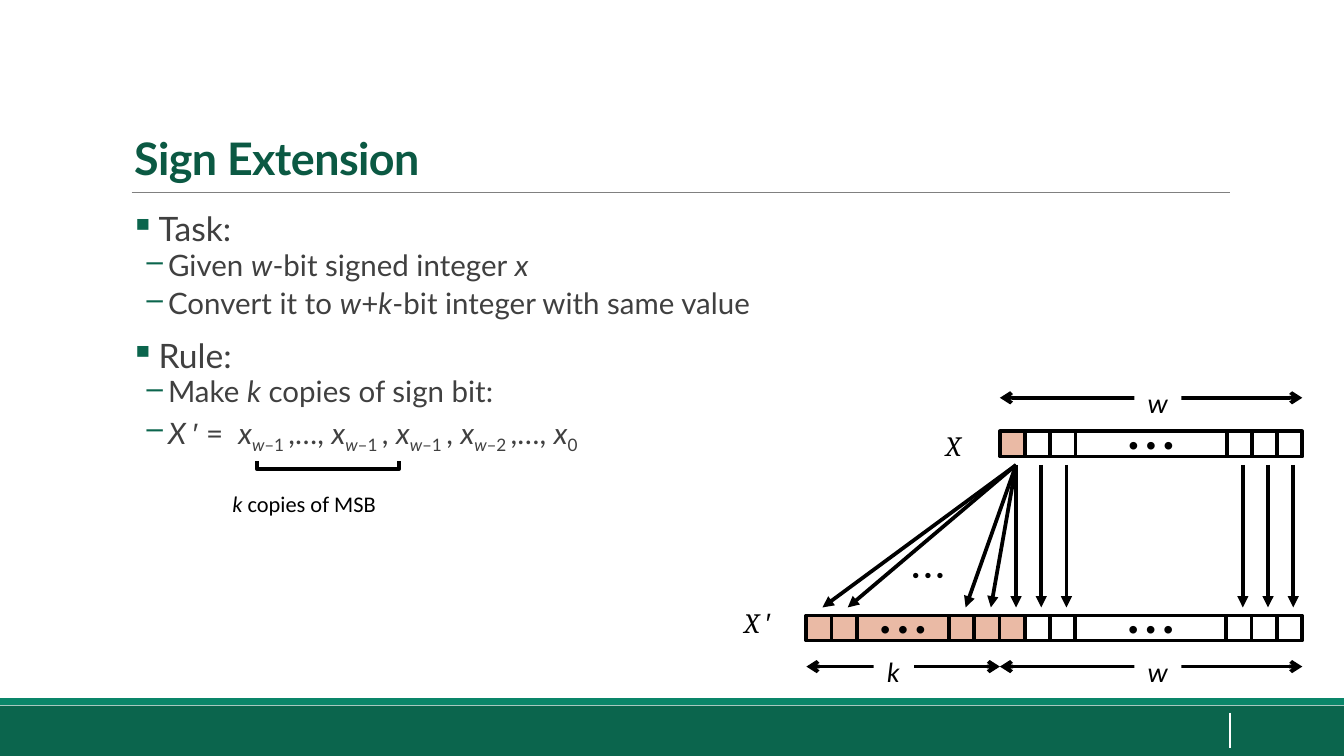
from dataclasses import dataclass

from lxml.etree import SubElement
from pptx import Presentation
from pptx.dml.color import RGBColor
from pptx.enum.shapes import MSO_CONNECTOR, MSO_SHAPE
from pptx.enum.text import MSO_ANCHOR, MSO_AUTO_SIZE, PP_ALIGN
from pptx.oxml.ns import qn
from pptx.util import Inches, Pt


@dataclass(frozen=True)
class Theme:
    green: str = "0B654D"
    stripe: str = "0A8669"
    title: str = "0B5943"
    body: str = "404040"
    rule: str = "808080"
    black: str = "000000"
    white: str = "FFFFFF"
    sign: str = "EABAA5"
    font: str = "Lato"
    label_font: str = "Calibri"
    math_font: str = "Cambria"
    symbol_font: str = "Arial"
    title_size: float = 24
    head_size: float = 18
    item_size: float = 15.8
    label_size: float = 15
    note_size: float = 12
    dots_size: float = 10.5
    stroke: float = 2


T = Theme()
BIT = 3 / 16
DOTS = "• • •"


def rgb(value):
    return RGBColor.from_string(value)


def add_run(p, text, size, font, color, style=""):
    """Style letters: b bold, i italic, s subscript."""
    r = p.add_run()
    r.text = text
    r.font.size, r.font.name = Pt(size), font
    r.font.color.rgb = rgb(color)
    r.font.bold, r.font.italic = "b" in style, "i" in style
    if "s" in style:
        r.font._element.set("baseline", "-25000")
    return r


def add_rect(shapes, x, y, w, h, fill, line=None):
    s = shapes.add_shape(MSO_SHAPE.RECTANGLE, Inches(x), Inches(y), Inches(w), Inches(h))
    s.shadow.inherit = False
    s.fill.solid()
    s.fill.fore_color.rgb = rgb(fill)
    if line:
        s.line.color.rgb, s.line.width = rgb(line), Pt(T.stroke)
    else:
        s.line.fill.background()
    return s


def add_line(shapes, x1, y1, x2, y2, color=T.black, width=T.stroke, head=None, tail=None):
    c = shapes.add_connector(MSO_CONNECTOR.STRAIGHT, Inches(x1), Inches(y1), Inches(x2), Inches(y2))
    c.line.color.rgb, c.line.width = rgb(color), Pt(width)
    ln = c.line._get_or_add_ln()
    for tag, kind in (("a:headEnd", head), ("a:tailEnd", tail)):
        if kind:
            SubElement(ln, qn(tag), type=kind)
    SubElement(c._element.spPr, qn("a:effectLst"))


def add_label(shapes, x, y, w, h, runs, size=T.label_size, fill=None):
    """Unwrapped text from (text, font, style) runs."""
    sp = shapes.add_textbox(Inches(x), Inches(y), Inches(w), Inches(h))
    if fill:
        sp.fill.solid()
        sp.fill.fore_color.rgb = rgb(fill)
    tf = sp.text_frame
    tf.word_wrap, tf.auto_size = False, MSO_AUTO_SIZE.SHAPE_TO_FIT_TEXT
    for text, font, style in runs:
        add_run(tf.paragraphs[0], text, size, font, T.black, style)
    return sp


def set_insets(tf):
    tf.margin_left = tf.margin_right = Inches(0.07)
    tf.margin_top = tf.margin_bottom = Inches(0.04)


def add_frame(shapes, w, h):
    """Footer band and the rule under the title."""
    add_rect(shapes, 0, h - 0.375, w, 0.375, T.green)
    add_line(shapes, 0.98, 1.43, 9.15, 1.43, T.rule, 0.5)
    add_rect(shapes, 0, h - 0.43, w, 0.05, T.stripe)
    add_line(shapes, 9.15, h - 0.32, 9.15, h - 0.06, T.white, 1)


def add_title(shapes, x, y, w, h, text):
    tf = shapes.add_textbox(Inches(x), Inches(y), Inches(w), Inches(h)).text_frame
    tf.word_wrap, tf.vertical_anchor = True, MSO_ANCHOR.BOTTOM
    p = tf.paragraphs[0]
    p.line_spacing = 0.85
    r = add_run(p, text, T.title_size, T.font, T.title, "b")
    r.font._element.set("spc", "-30")


def set_bullet(p, char, left, hanging):
    pPr = p._p.get_or_add_pPr()
    pPr.set("marL", str(Inches(left)))
    pPr.set("indent", str(-Inches(hanging)))
    color = SubElement(pPr, qn("a:buClr"))
    SubElement(color, qn("a:srgbClr"), val=T.green)
    SubElement(pPr, qn("a:buChar"), char=char)


def add_outline(shapes, x, y, w, h, sections):
    tf = shapes.add_textbox(Inches(x), Inches(y), Inches(w), Inches(h)).text_frame
    tf.word_wrap = True
    set_insets(tf)
    for n, (heading, items) in enumerate(sections):
        p = tf.add_paragraph() if n else tf.paragraphs[0]
        p.space_before = Pt(5.6 if n else 0)
        set_bullet(p, "▪", 0.21, 0.21)
        add_run(p, heading, T.head_size, T.font, T.body)
        for item in items:
            p = tf.add_paragraph()
            p.level, p.line_spacing = 1, 0.9
            p.space_before, p.space_after = Pt(1.1), Pt(2.2)
            set_bullet(p, "–", 0.28, 0.16)
            for text, style in item:
                font = T.symbol_font if text == "′" else T.font
                add_run(p, text, T.item_size, font, T.body, style)


def add_copies_note(shapes, x, y):
    """Bracket under the repeated sign bits, with its caption."""
    pen = shapes.build_freeform(Inches(x + 0.25), Inches(y))
    pen.add_line_segments([(Inches(x + dx), Inches(y + dy))
                           for dx, dy in ((0.25, 0.06), (1.31, 0.06), (1.31, 0))], close=False)
    s = pen.convert_to_shape()
    s.shadow.inherit = False
    s.fill.background()
    s.line.color.rgb, s.line.width = rgb(T.black), Pt(T.stroke)
    caption = [("k", T.label_font, "i"), (" copies of MSB", T.label_font, "")]
    set_insets(add_label(shapes, x, y + 0.18, 1.23, 0.28, caption, T.note_size).text_frame)


def add_bits(shapes, x, y, cells):
    """Row of (width in bits, fill) cells; wide ones hold an ellipsis."""
    for bits, fill in cells:
        s = add_rect(shapes, x, y, bits * BIT, BIT, fill, T.black)
        if bits > 1:
            tf = s.text_frame
            tf.word_wrap, tf.vertical_anchor = False, MSO_ANCHOR.MIDDLE
            p = tf.paragraphs[0]
            p.alignment = PP_ALIGN.CENTER
            add_run(p, DOTS, T.label_size, T.symbol_font, T.black)
        x += bits * BIT


def add_span(shapes, x1, x2, y, name, label_x, label_w):
    add_line(shapes, x1, y, x2, y, head="arrow", tail="arrow")
    add_label(shapes, label_x, y - 0.14, label_w, 0.35, [(name, T.label_font, "i")], fill=T.white)


def add_diagram(shapes, x, y):
    left, word = x + 0.56, x + 2
    right = word + 12 * BIT
    top, bottom = y + 0.4, y + 1.77
    word_bits = [(1, T.sign), (1, T.white), (1, T.white), (6, T.white)] + [(1, T.white)] * 3
    copies = [(bits, T.sign) for bits in (1, 1, 11 / 3, 1, 1)]
    add_bits(shapes, word, top, word_bits)
    add_bits(shapes, left, bottom, copies + word_bits)
    add_label(shapes, x + 1.5, y + 0.33, 0.38, 0.35, [("X", T.math_font, "i")])
    add_label(shapes, x, y + 1.65, 0.43, 0.35,
              [("X ", T.math_font, "i"), ("′", T.symbol_font, "")])

    def arrow(start, end):
        add_line(shapes, start + 0.12, top + 0.25, end + 0.12, bottom - 0.06, tail="triangle")

    for end in (word, word - BIT, word - 2 * BIT, left + BIT, left):
        arrow(word, end)
    for n in (1, 2, 9, 10, 11):
        arrow(word + n * BIT, word + n * BIT)
    add_label(shapes, x + 1.25, y + 1.33, 0.43, 0.28, [(DOTS, T.symbol_font, "")], T.dots_size)
    for span_y in (y + 0.15, y + 2.15):
        add_span(shapes, word, right, span_y, "w", x + 3, 0.35)
    add_span(shapes, left, word, y + 2.15, "k", x + 1.06, 0.3)


def indexed(index, after):
    return [("x", "i"), ("w", "is"), (f"–{index} ", "s"), (after, "")]


def main():
    prs = Presentation()
    prs.slide_width, prs.slide_height = Inches(10), Inches(5.625)
    shapes = prs.slides.add_slide(prs.slide_layouts[6]).shapes
    formula = [("X ", "i"), ("′", ""), (" =  ", ""), *indexed(1, ",…, "), *indexed(1, ", "),
               *indexed(1, ", "), *indexed(2, ",…, "), ("x", "i"), ("0", "s")]
    sections = [
        ("Task:", [
            [("Given ", ""), ("w", "i"), ("-bit signed integer ", ""), ("x", "i")],
            [("Convert it to ", ""), ("w", "i"), ("+", ""), ("k", "i"),
             ("-bit integer with same value", "")]]),
        ("Rule:", [[("Make ", ""), ("k", "i"), (" copies of sign bit:", "")], formula]),
    ]
    add_frame(shapes, 10, 5.625)
    add_title(shapes, 0.9, 0.23, 8.25, 1.19, "Sign Extension")
    add_outline(shapes, 0.9, 1.51, 8.25, 3.3, sections)
    add_copies_note(shapes, 1.66, 3.43)
    add_diagram(shapes.add_group_shape().shapes, 5.44, 2.81)
    prs.save("out.pptx")


if __name__ == "__main__":
    main()
